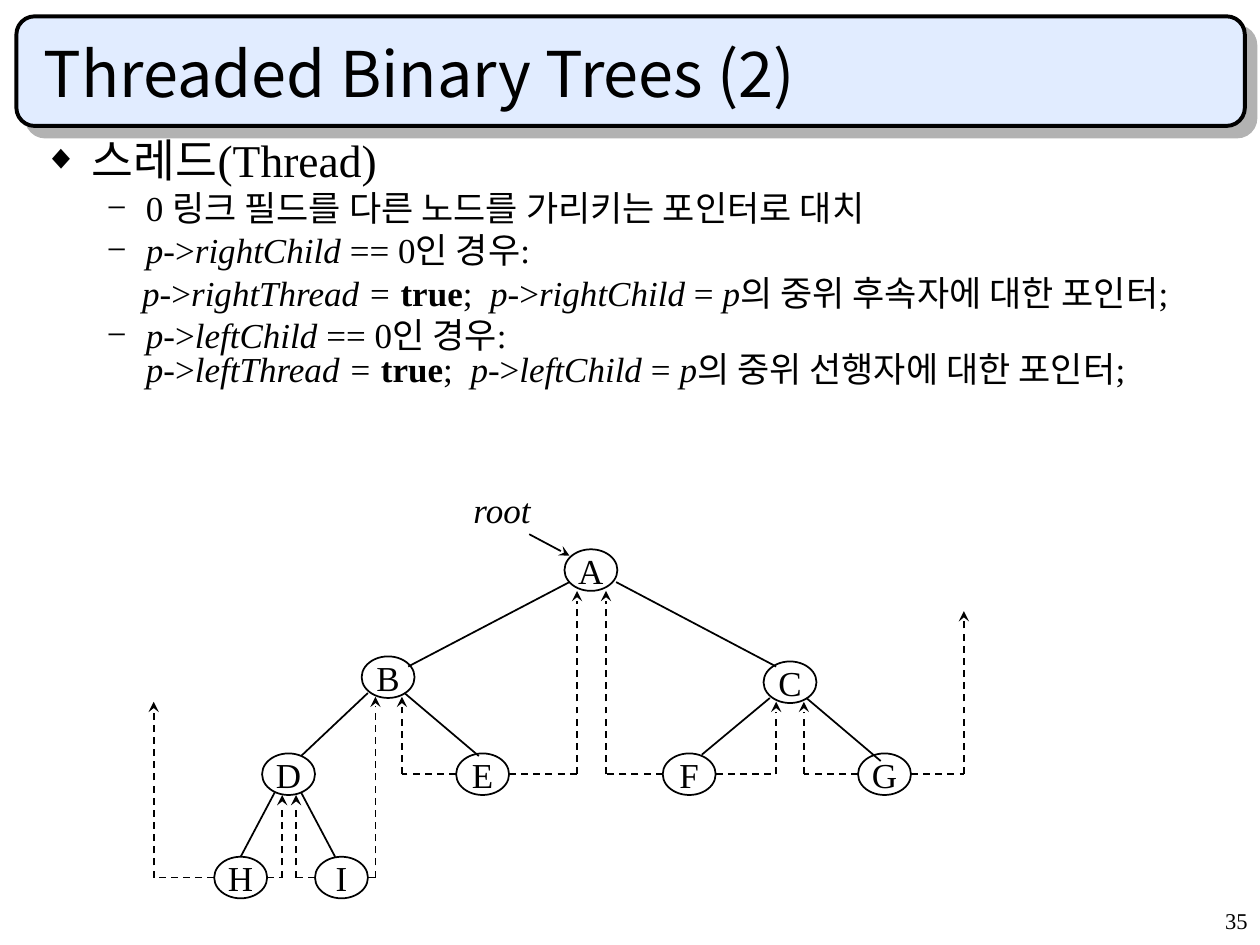
from lxml import etree
from pptx import Presentation
from pptx import util as u
from pptx.dml.color import RGBColor
from pptx.enum import dml, shapes, text
from pptx.oxml import ns

BLACK = RGBColor(0x00, 0x00, 0x00)
BANNER = RGBColor(0xE1, 0xEC, 0xFF)
SERIF = "Times New Roman"
SANS = "Noto Sans CJK KR"
COLUMNS, ROWS = 100, 75
NODE_WIDTH, NODE_HEIGHT = 4.2, 3.3

PLAIN, ITALIC, BOLD = "plain", "italic", "bold"

NODES = {
    "A": (44.8, 43.6), "B": (28.7, 52.1), "C": (60.6, 52.5),
    "D": (20.8, 59.8), "E": (36.2, 59.8), "F": (52.6, 59.8),
    "G": (68.1, 59.8), "H": (17, 68), "I": (25, 68),
}
BRANCHES = [
    ((45.2, 46.2), (32.4, 52.9)), ((48.9, 46.2), (61.6, 52.9)),
    ((29.2, 55), (23.9, 60)), ((32.1, 55), (38, 60)),
    ((21.8, 62.9), (19.1, 68)), ((23.9, 62.9), (26.6, 68)),
    ((61.1, 55.4), (55.7, 59.9)), ((64, 55.4), (69.9, 60.4)),
]
THREADS = [
    ("H", "left", 12.2, 55.7), ("H", "right", 22.4, 63.1),
    ("I", "left", 23.5, 63.1), ("I", "right", 29.8, 55.3),
    ("E", "left", 31.9, 55.3), ("E", "right", 45.8, 46.9),
    ("F", "left", 48.1, 46.9), ("F", "right", 61.6, 55.7),
    ("G", "left", 63.8, 55.7), ("G", "right", 76.5, 48.5),
]


def grid(count):
    return u.Inches(count * 10 / COLUMNS)


def add_child(parent, tag, **attributes):
    return etree.SubElement(parent, ns.qn(tag), attributes)


def add_span(para, words, size, style=PLAIN, face=SERIF):
    span = para.add_run()
    span.text = words
    font = span.font
    font.name, font.size = face, u.Pt(size)
    font.color.rgb = BLACK
    font.italic, font.bold = style == ITALIC, style == BOLD
    add_child(font._element, "a:ea", typeface=SANS)


def add_box(page, left, top, width, height, wrap=True):
    box = page.shapes.add_textbox(*map(grid, (left, top, width, height)))
    box.text_frame.word_wrap = wrap
    return box.text_frame


def set_indent(para, margin, hanging=0, bullet=None, percent=100):
    properties = para._p.get_or_add_pPr()
    properties.set("marL", str(grid(margin)))
    properties.set("indent", str(-grid(hanging)))
    if bullet:
        add_child(properties, "a:buSzPct", val=str(percent * 1000))
        add_child(properties, "a:buFont", typeface=SERIF)
        add_child(properties, "a:buChar", char=bullet)
    else:
        add_child(properties, "a:buNone")
    para.line_spacing = 0.8


def add_item(frame, spans, margin=8.1, hanging=3.1, bullet="−"):
    para = frame.add_paragraph()
    set_indent(para, margin, hanging, bullet)
    para.space_before = u.Pt(5)
    add_spans(para, spans)
    return para


def add_spans(para, spans):
    for words, style in spans:
        add_span(para, words, 20, style)


def condition(side):
    return [("p", ITALIC), ("->", PLAIN), (f"{side}Child", ITALIC),
            (" == 0인 경우:", PLAIN)]


def assignment(side, neighbour):
    return [("p", ITALIC), ("->", PLAIN), (f"{side}Thread = ", ITALIC),
            ("true", BOLD), (";  ", PLAIN), ("p", ITALIC), ("->", PLAIN),
            (f"{side}Child", ITALIC), (" = ", PLAIN), ("p", ITALIC),
            (f"의 중위 {neighbour}에 대한 포인터;", PLAIN)]


def add_banner(page):
    banner = page.shapes.add_shape(
        shapes.MSO_SHAPE.ROUNDED_RECTANGLE, *map(grid, (1.3, 1.3, 97.5, 8.7)))
    banner.fill.solid()
    banner.fill.fore_color.rgb = BANNER
    banner.line.color.rgb = BLACK
    banner.line.width = u.Pt(2.25)
    banner.shadow.inherit = False
    effects = banner._element.spPr.find(ns.qn("a:effectLst"))
    shadow = add_child(effects, "a:outerShdw", dist=str(u.Pt(8.5)),
                       dir="2700000", algn="ctr", rotWithShape="0")
    add_child(shadow, "a:srgbClr", val="B2B2B2")


def add_title(page):
    frame = add_box(page, 2.5, 2.5, 94.2, 6.7)
    frame.vertical_anchor = text.MSO_ANCHOR.BOTTOM
    add_span(frame.paragraphs[0], "Threaded Binary Trees (2)", 36, face=SANS)


def add_body(page):
    frame = add_box(page, 2.5, 10.8, 94.2, 24.3)
    heading = frame.paragraphs[0]
    set_indent(heading, 3.8, 3.8, "◆", 75)
    add_span(heading, "스레드(Thread)", 26)
    add_item(frame, [("0 링크 필드를 다른 노드를 가리키는 포인터로 대치", PLAIN)])
    add_item(frame, condition("right"))
    add_item(frame, assignment("right", "후속자"), 7.8, 0, None)
    left_case = add_item(frame, condition("left"))
    left_case.add_line_break()
    add_spans(left_case, assignment("left", "선행자"))


def add_node(page, label, left, top):
    node = page.shapes.add_shape(
        shapes.MSO_SHAPE.OVAL, *map(grid, (left, top, NODE_WIDTH, NODE_HEIGHT)))
    node.shadow.inherit = False
    node.fill.background()
    node.line.color.rgb = BLACK
    node.line.width = u.Pt(1)
    frame = node.text_frame
    frame.word_wrap = False
    frame.vertical_anchor = text.MSO_ANCHOR.MIDDLE
    para = frame.paragraphs[0]
    para.alignment = text.PP_ALIGN.CENTER
    add_span(para, label, 20)


def add_line(page, start, end, dashed=False, arrow=False):
    line = page.shapes.add_connector(
        shapes.MSO_CONNECTOR.STRAIGHT, *map(grid, (*start, *end)))
    line.line.color.rgb = BLACK
    line.line.width = u.Pt(1)
    if dashed:
        line.line.dash_style = dml.MSO_LINE.DASH
    if arrow:
        add_child(line.line._get_or_add_ln(), "a:tailEnd", type="stealth")
    add_child(line._element.spPr, "a:effectLst")


def add_thread(page, label, side, turn, tip):
    left, top = NODES[label]
    start = left if side == "left" else left + NODE_WIDTH
    level = top + NODE_HEIGHT / 2
    add_line(page, (start, level), (turn, level), dashed=True)
    add_line(page, (turn, level), (turn, tip), dashed=True, arrow=True)


def add_tree(page):
    for label, place in NODES.items():
        add_node(page, label, *place)
    for start, end in BRANCHES:
        add_line(page, start, end)
    root = add_box(page, 36.6, 38.3, 6.7, 4.3, wrap=False)
    add_span(root.paragraphs[0], "root", 20, ITALIC)
    add_line(page, (42, 42.4), (45.2, 44.1), arrow=True)
    for thread in THREADS:
        add_thread(page, *thread)


def add_page_number(page):
    para = add_box(page, 79.2, 71.7, 20.8, 3.3).paragraphs[0]
    para.alignment = text.PP_ALIGN.RIGHT
    para.line_spacing = 0.9
    add_span(para, "35", 12.9)


def main():
    deck = Presentation()
    deck.slide_width, deck.slide_height = grid(COLUMNS), grid(ROWS)
    page = deck.slides.add_slide(deck.slide_layouts[6])
    add_banner(page)
    add_page_number(page)
    add_title(page)
    add_body(page)
    add_tree(page)
    deck.save("out.pptx")


if __name__ == "__main__":
    main()
